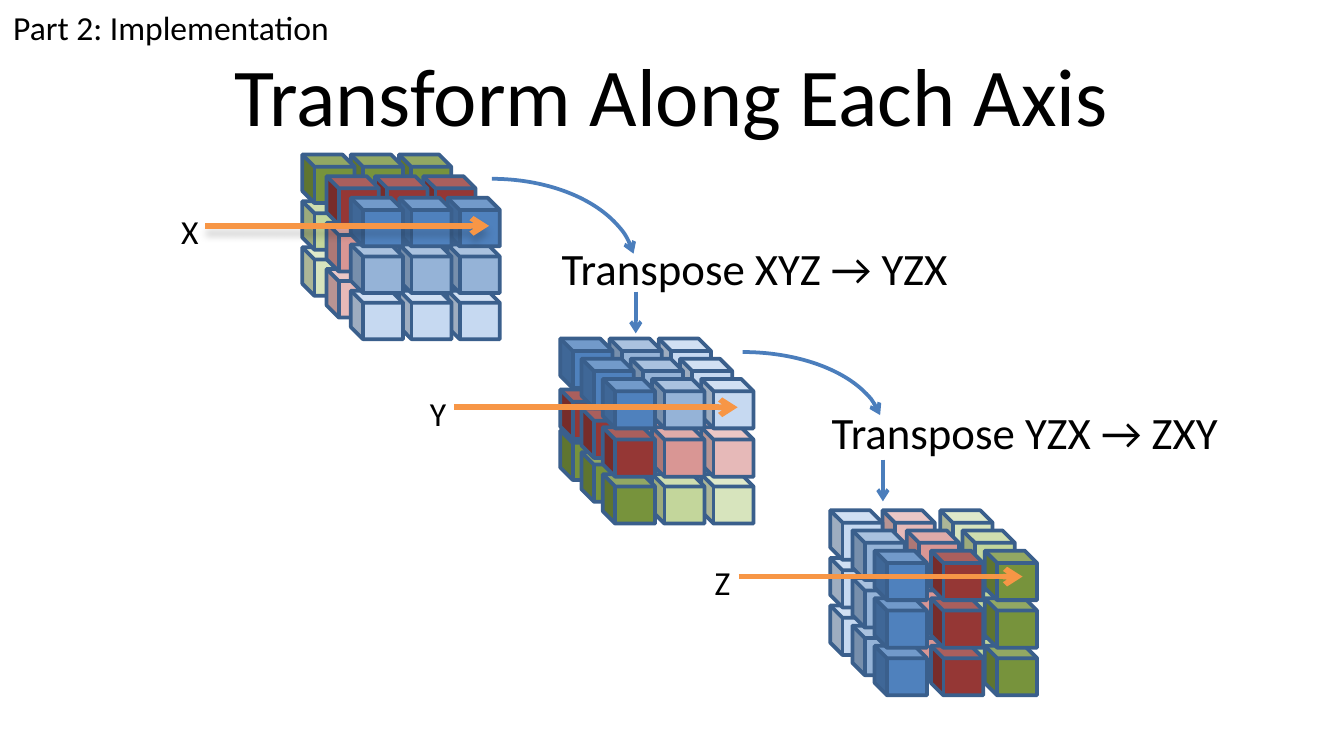
from itertools import product
from lxml.etree import SubElement
from pptx import Presentation
from pptx.dml.color import RGBColor
from pptx.enum.shapes import MSO_CONNECTOR, MSO_SHAPE
from pptx.enum.text import MSO_ANCHOR, PP_ALIGN
from pptx.oxml.ns import qn
from pptx.util import Pt

COLORS = {
    "text": "000000", "edge": "3A5F8C", "step": "4B7EBC", "axis": "F79646",
    "blue0": "4F81BD", "blue1": "95B3D7", "blue2": "C6D9F1",
    "red0": "953735", "red1": "D99694", "red2": "E6B9B8",
    "green0": "77933C", "green1": "C3D69B", "green2": "D7E4BD",
}
HUES = ("blue", "red", "green")

GRIDS = [
    dict(box=(90, 82.8), name="X", mid=38.2, size=(28, 26),
         cols=(72, 98, 123.8), rows=(0, 25, 49.7),
         across=(13, 13, 13), down=(11.6, 11.6, 11.6),
         order="frc", tone="r", shade=True),
    dict(box=(223.2, 181.4), name="Y", mid=36.8, size=(28, 26.5),
         cols=(77, 103.4, 129.7), rows=(0, 27.3, 49.2),
         across=(11.4, 11.4, 11.4), down=(10.8, 10.1, 11.7),
         order="rfc", tone="c"),
    dict(box=(375.8, 273.4), name="Z", mid=35.5, size=(28, 26.5),
         cols=(69, 97, 128), rows=(0, 25.5, 51),
         across=(11.9, 13, 11.9), down=(10.8, 10.8, 10.8),
         order="crf", tone="f"),
]

STEPS = [
    dict(box=(293.8, 125.3), words="Transpose XYZ → YZX",
         arc=(186.5, 95.8, 154, 96.5), end=212.33, drop=(340.6, 156.2)),
    dict(box=(438.5, 213.1), words="Transpose YZX → ZXY",
         arc=(322.6, 188.6, 150.5, 85), end=211.95, drop=(473, 246.2)),
]


def paint(color):
    return RGBColor.from_string(COLORS[color])


def stroke(shape, color, width):
    shape.line.color.rgb = paint(color)
    shape.line.width = Pt(width)


def point(shape):
    SubElement(shape.element.spPr.find(qn("a:ln")), qn("a:tailEnd"), type="arrow")


def write(shapes, box, words, size, wrap=False, align=PP_ALIGN.LEFT,
          anchor=MSO_ANCHOR.TOP):
    frame = shapes.add_textbox(*map(Pt, box)).text_frame
    frame.word_wrap = wrap
    frame.vertical_anchor = anchor
    para = frame.paragraphs[0]
    para.alignment = align
    run = para.add_run()
    run.text = words
    run.font.name = "Calibri"
    run.font.size = Pt(size)
    run.font.color.rgb = paint("text")


def arrow(shapes, ends, color, width, shade=False):
    line = shapes.add_connector(MSO_CONNECTOR.STRAIGHT, *map(Pt, ends))
    stroke(line, color, width)
    point(line)
    effects = SubElement(line.element.spPr, qn("a:effectLst"))
    if shade:
        outer = SubElement(effects, qn("a:outerShdw"), blurRad=str(Pt(4)),
                           dist=str(Pt(4)), dir="5400000", rotWithShape="0")
        tint = SubElement(outer, qn("a:srgbClr"), val=COLORS["text"])
        SubElement(tint, qn("a:alpha"), val="18000")


def cube(shapes, box, color):
    shape = shapes.add_shape(MSO_SHAPE.CUBE, *map(Pt, box))
    shape.shadow.inherit = False
    shape.element.spPr.get_or_add_xfrm().set("flipH", "1")
    shape.fill.solid()
    shape.fill.fore_color.rgb = paint(color)
    stroke(shape, "edge", 2)


def grid(slide, box, name, mid, size, cols, rows, across, down, order, tone,
         shade=False):
    left, top = box
    shapes = slide.shapes.add_group_shape().shapes
    for place in product((2, 1, 0), repeat=3):
        cell = dict(zip(order, place))
        col, row, depth = cell["c"], cell["r"], 2 - cell["f"]
        x = left + cols[col] + depth * across[col]
        y = top + rows[row] + depth * down[row]
        cube(shapes, (x, y, *size), f"{HUES[place[0]]}{cell[tone]}")
    y = top + mid
    arrow(shapes, (left + 20, y, left + 172, y), "axis", 3, shade)
    write(shapes, (left, y - 11.5, 20, 29), name, 18)


def step(slide, box, words, arc, end, drop):
    write(slide.shapes, (*box, 239, 36), words, 24, wrap=True)
    curve = slide.shapes.add_shape(MSO_SHAPE.ARC, *map(Pt, arc))
    curve.shadow.inherit = False
    curve.adjustments[0] = 162
    curve.adjustments[1] = end
    curve.fill.background()
    stroke(curve, "step", 2)
    point(curve)
    x, y = drop
    arrow(slide.shapes, (x, y, x, y + 22.4), "step", 2)


def head(slide, box):
    left, top, width, height = box
    write(slide.shapes, (left + 36, top + 16.5, width - 72, height - 16.5),
          "Transform Along Each Axis", 44, True, PP_ALIGN.CENTER, MSO_ANCHOR.MIDDLE)
    write(slide.shapes, (left, top, 186, 29), "Part 2: Implementation", 18)


def main():
    deck = Presentation()
    deck.slide_width, deck.slide_height = Pt(720), Pt(405)
    slide = deck.slides.add_slide(deck.slide_layouts[6])
    head(slide, (0, 0, 720, 84))
    for item in GRIDS:
        grid(slide, **item)
    for item in STEPS:
        step(slide, **item)
    deck.save("out.pptx")


if __name__ == "__main__":
    main()
